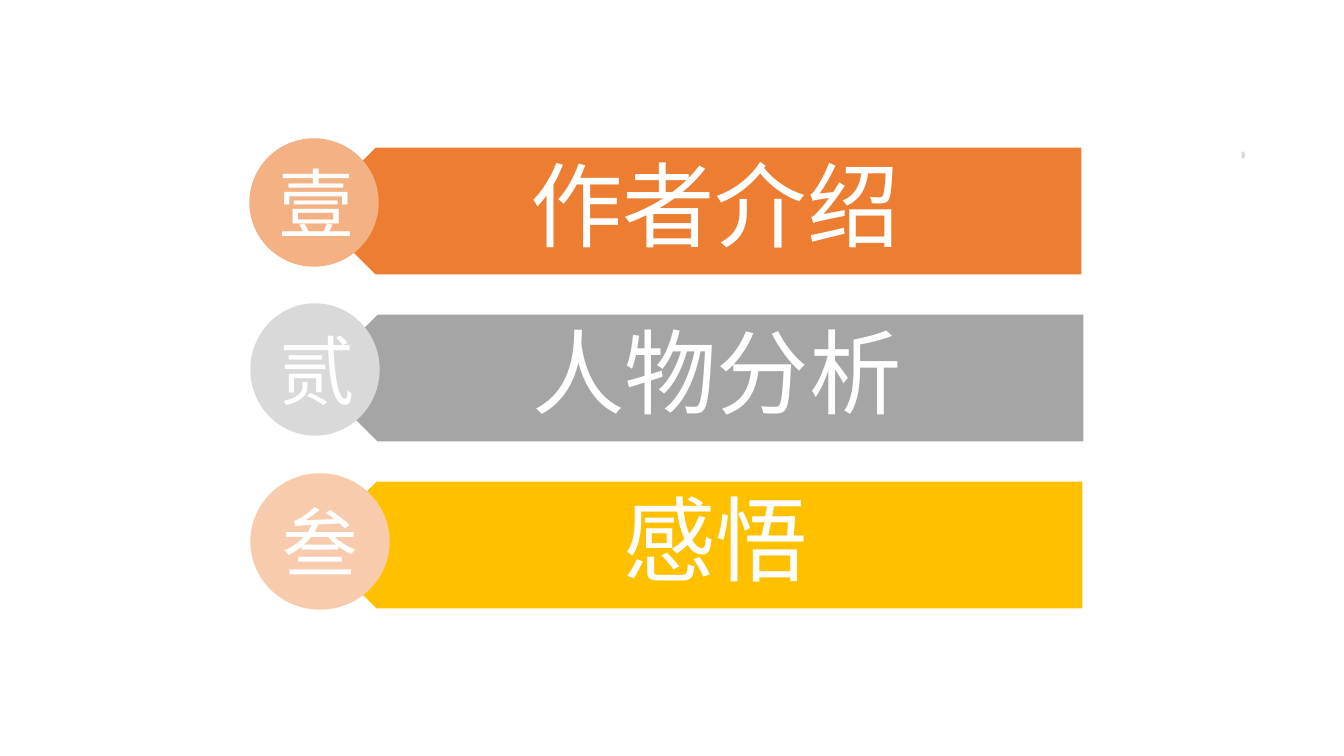
from lxml import etree
from pptx import Presentation
from pptx import util as u
from pptx.dml.color import RGBColor
from pptx.enum import shapes, text
from pptx.oxml.ns import qn

PX = 914400 / 100.8
FONT = "Noto Sans CJK JP"
HEX = {
    "white": "FFFFFF", "orange": "ED7D31", "gray": "A5A5A5", "gold": "FFC000",
    "peach": "F4B183", "silver": "D9D9D9", "pink": "F8CBAD", "mark": "D8D8D8",
}
KIND = shapes.MSO_SHAPE
TOP, PITCH = 147, 167

# bar left, bar colour, title, numeral, disc box, disc colour
ROWS = [
    (311, "orange", "作者介绍", "壹", (250, 139, 128, 127), "peach"),
    (313, "gray", "人物分析", "贰", (251, 304, 128, 131), "silver"),
    (312, "gold", "感悟", "叁", (251, 474, 138, 135), "pink"),
]


def px(n):
    return u.Emu(round(n * PX))


def color(name):
    return RGBColor.from_string(HEX[name])


def draw(slide, kind, box, fill, line):
    shape = slide.shapes.add_shape(kind, *map(px, box))
    shape.shadow.inherit = False
    shape.fill.solid()
    shape.fill.fore_color.rgb = color(fill)
    shape.line.color.rgb = color(line)
    shape.line.width = u.Pt(1)
    return shape


def write(shape, words, size):
    frame = shape.text_frame
    frame.text = words
    frame.word_wrap = True
    frame.vertical_anchor = text.MSO_ANCHOR.MIDDLE
    para = frame.paragraphs[0]
    para.alignment = text.PP_ALIGN.CENTER
    run = para.runs[0]
    run.font.size = u.Pt(size)
    run.font.name = FONT
    run.font.color.rgb = color("white")
    # East Asian typeface
    etree.SubElement(run.font._element, qn("a:ea"), typeface=FONT)
    return para


def bar(slide, left, top, fill):
    shape = draw(slide, KIND.PENTAGON, (left, top, 771, 128), fill, "white")
    shape.rotation = 180


def title(slide, left, top, words):
    box = slide.shapes.add_textbox(*map(px, (left, top, 739, 128)))
    frame = box.text_frame
    frame.margin_left, frame.margin_right = px(56), px(51)
    frame.margin_top = frame.margin_bottom = px(28)
    para = write(box, words, 66)
    para.line_spacing = 0.9
    # Space after, relative to the text size
    after = etree.SubElement(para._p.get_or_add_pPr(), qn("a:spcAft"))
    etree.SubElement(after, qn("a:spcPct"), val="35000")


def disc(slide, box, fill, words):
    write(draw(slide, KIND.OVAL, box, fill, fill), words, 54)


def main():
    deck = Presentation()
    deck.slide_width, deck.slide_height = px(1344), px(756)
    slide = deck.slides.add_slide(deck.slide_layouts[6])

    # Agenda rows
    for i, (left, fill, words, mark, box, tint) in enumerate(ROWS):
        top = TOP + i * PITCH
        bar(slide, left, top, fill)
        title(slide, left + 32, top, words)
        disc(slide, box, tint, mark)

    # Small arrow at the right edge
    draw(slide, KIND.RIGHT_ARROW, (1241, TOP, 5, 16), "mark", "white")

    deck.save("out.pptx")


if __name__ == "__main__":
    main()
